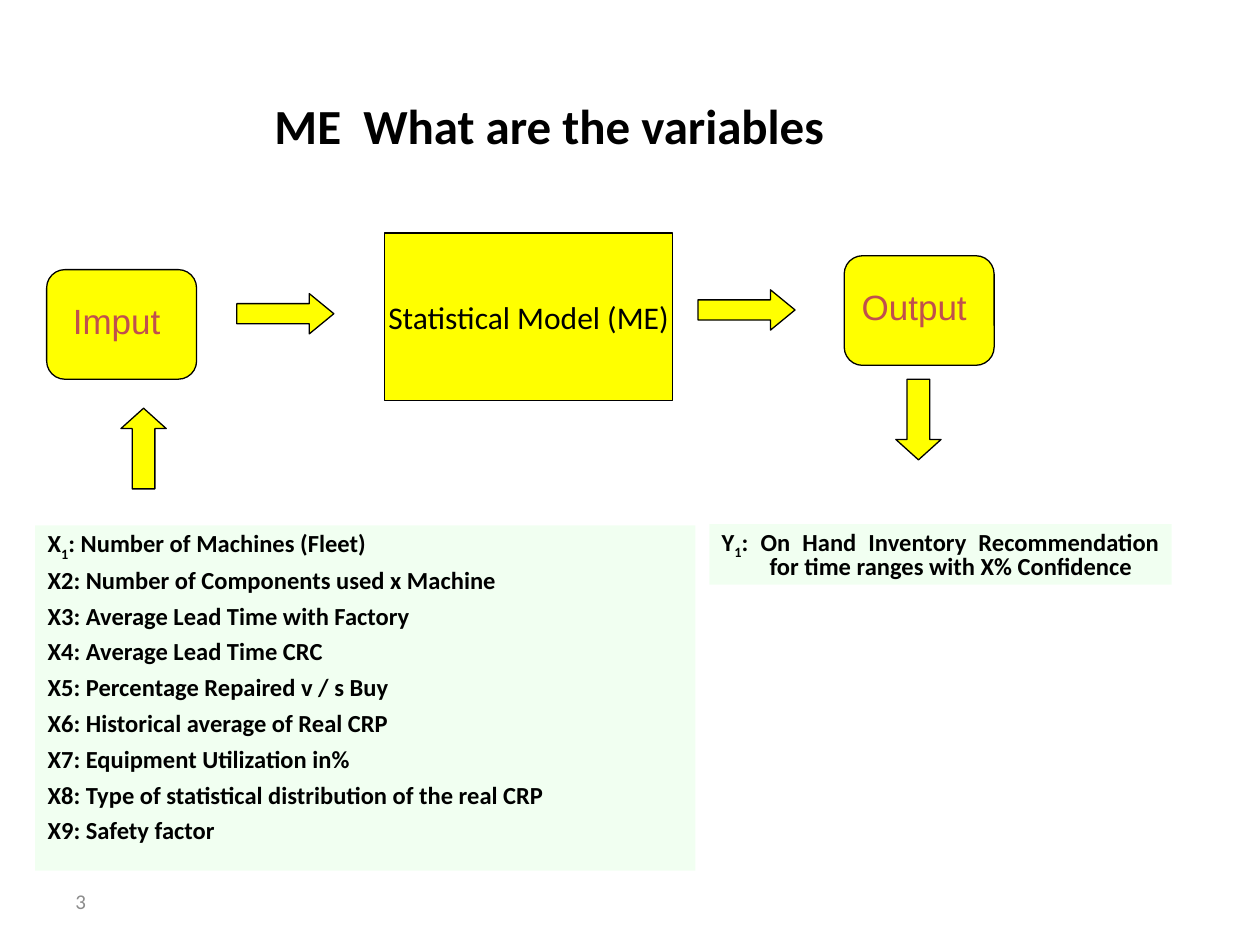
from lxml.etree import SubElement
from pptx import Presentation
from pptx.dml.color import RGBColor
from pptx.enum.shapes import MSO_SHAPE
from pptx.enum.text import MSO_ANCHOR, PP_ALIGN
from pptx.oxml.ns import qn
from pptx.util import Inches, Pt

BLACK = RGBColor(0, 0, 0)
YELLOW = RGBColor(0xFF, 0xFF, 0)
MINT = RGBColor(0xCC, 0xFF, 0xCC)
RUST = RGBColor(0xC0, 0x50, 0x4D)
GRAY = RGBColor(0x8C, 0x8C, 0x8C)


class FlowSlide:
    text_font = "Calibri"
    node_font = "Arial"
    line_width = Pt(0.75)
    hanging = Inches(0.38)

    def __init__(self, slide):
        self.slide = slide

    def style(self, paragraph, size, color=BLACK, bold=False, font=text_font):
        paragraph.font.name = font
        paragraph.font.size = Pt(size)
        paragraph.font.bold = bold
        paragraph.font.color.rgb = color

    def hang(self, paragraph, space_before):
        paragraph.line_spacing = 0.8
        paragraph.space_before = Pt(space_before)
        properties = paragraph._p.get_or_add_pPr()
        properties.set("marL", str(self.hanging))
        properties.set("indent", str(-self.hanging))

    def label(self, box, text, size, wrap=False, anchor=MSO_ANCHOR.TOP, **style):
        frame = box.text_frame
        frame.word_wrap = wrap
        frame.vertical_anchor = anchor
        paragraph = frame.paragraphs[0]
        paragraph.text = text
        self.style(paragraph, size, **style)
        return paragraph

    def text(self, text, place, size, **options):
        box = self.slide.shapes.add_textbox(*map(Inches, place))
        return self.label(box, text, size, **options)

    def block(self, kind, place, adjustments=()):
        block = self.slide.shapes.add_shape(kind, *map(Inches, place))
        block.shadow.inherit = False
        block.fill.solid()
        block.fill.fore_color.rgb = YELLOW
        block.line.color.rgb = BLACK
        block.line.width = self.line_width
        for index, value in enumerate(adjustments):
            block.adjustments[index] = value
        return block

    def node(self, text, left, top):
        node = self.block(MSO_SHAPE.ROUNDED_RECTANGLE, (left, top, 1.19, 0.87), [0.167])
        paragraph = self.label(node, text, 20, anchor=MSO_ANCHOR.MIDDLE,
                               color=RUST, font=self.node_font)
        paragraph.alignment = PP_ALIGN.CENTER
        self.hang(paragraph, 20)

    def model(self, text, place):
        model = self.block(MSO_SHAPE.RECTANGLE, place)
        paragraph = self.label(model, text, 18, anchor=MSO_ANCHOR.MIDDLE)
        paragraph.alignment = PP_ALIGN.CENTER

    def across_arrow(self, left, top):
        self.block(MSO_SHAPE.RIGHT_ARROW, (left, top, 0.77, 0.32), [0.5, 0.61])

    def vertical_arrow(self, kind, left, top):
        self.block(kind, (left, top, 0.36, 0.64), [0.5, 0.45])

    def variables(self, symbol, descriptions, place):
        panel = self.block(MSO_SHAPE.RECTANGLE, place)
        panel.fill.fore_color.rgb = MINT
        color = panel.fill._xPr.find(qn("a:solidFill"))[0]
        SubElement(color, qn("a:alpha"), val="26000")
        panel.line.fill.background()
        frame = panel.text_frame
        frame.word_wrap = True
        frame.vertical_anchor = MSO_ANCHOR.TOP
        for number, description in enumerate(descriptions, 1):
            if number == 1:
                paragraph = frame.paragraphs[0]
                paragraph.add_run().text = symbol
                subscript = paragraph.add_run()
                subscript.text = "1"
                subscript.font._element.set("baseline", "-25000")
                paragraph.add_run().text = f": {description}"
            else:
                paragraph = frame.add_paragraph()
                paragraph.text = f"{symbol}{number}: {description}"
            paragraph.alignment = PP_ALIGN.JUSTIFY
            self.style(paragraph, 14, bold=True)
            self.hang(paragraph, 7)


INPUTS = [
    "Number of Machines (Fleet)",
    "Number of Components used x Machine",
    "Average Lead Time with Factory",
    "Average Lead Time CRC",
    "Percentage Repaired v / s Buy",
    "Historical average of Real CRP",
    "Equipment Utilization in%",
    "Type of statistical distribution of the real CRP",
    "Safety factor",
]
OUTPUTS = ["On Hand Inventory Recommendation for time ranges with X% Confidence"]


def main():
    presentation = Presentation()
    presentation.slide_width = Inches(10)
    presentation.slide_height = Inches(7.5)
    flow = FlowSlide(presentation.slides.add_slide(presentation.slide_layouts[6]))

    flow.text("3", (0.5, 6.95, 2.33, 0.4), 12, wrap=True,
              anchor=MSO_ANCHOR.MIDDLE, color=GRAY)
    flow.node("Output ", 6.7, 2.03)
    flow.variables("X", INPUTS, (0.28, 4.17, 5.24, 2.74))
    flow.node("Imput ", 0.37, 2.14)
    flow.vertical_arrow(MSO_SHAPE.UP_ARROW, 0.96, 3.24)
    flow.vertical_arrow(MSO_SHAPE.DOWN_ARROW, 7.11, 3.01)
    flow.variables("Y", OUTPUTS, (5.63, 4.16, 3.67, 0.48))
    flow.model("Statistical Model (ME)", (3.05, 1.85, 2.29, 1.33))
    flow.across_arrow(1.88, 2.33)
    flow.across_arrow(5.54, 2.3)
    flow.text("ME  What are the variables", (2.08, 0.71, 4.62, 0.57), 28, bold=True)

    presentation.save("out.pptx")


if __name__ == "__main__":
    main()
